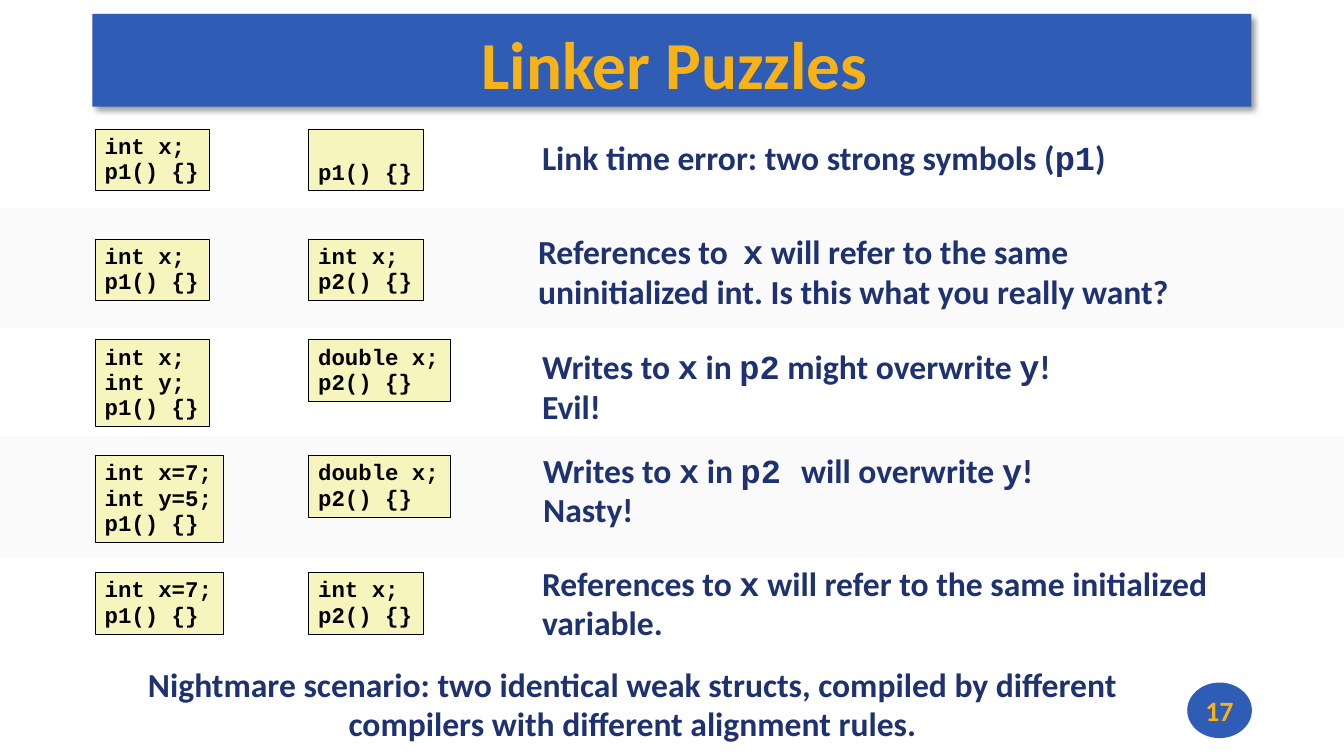
"""Build the Linker Puzzles slide: pairs of code modules with the outcome of linking them."""
from lxml.etree import SubElement
from pptx import Presentation
from pptx.dml.color import RGBColor
from pptx.enum.shapes import MSO_SHAPE as Preset
from pptx.enum.text import MSO_ANCHOR as Anchor, MSO_AUTO_SIZE as AutoSize, PP_ALIGN as Align
from pptx.oxml.ns import qn
from pptx.util import Cm, Pt

COLORS = {"blue": "2F5CB5", "gold": "F7B217", "band": "FAFAFA",
          "code": "F6F5BD", "black": "000000", "navy": "1E3272"}
SANS, MONO = "Calibri", "Courier New"

TITLE = "Linker Puzzles"
PAGE = "17"
WARNING = ("Nightmare scenario: two identical weak structs, compiled by different "
           "compilers with different alignment rules.")
PUZZLES = [
    {"top": 3.25, "modules": (["int x;", "p1() {}"], ["p1() {}"]),
     "outcome": ["Link time error: two strong symbols (`p1`)"],
     "outcome_at": (13.41, 3.38, 14.83)},
    {"top": 6.02, "modules": (["int x;", "p1() {}"], ["int x;", "p2() {}"]),
     "outcome": ["References to  `x` will refer to the same",
                 "uninitialized int. Is this what you really want?"],
     "outcome_at": (13.31, 5.74, 16.56)},
    {"top": 8.56, "modules": (["int x;", "int y;", "p1() {}"], ["double x;", "p2() {}"]),
     "outcome": ["Writes to `x` in `p2` might overwrite `y`!", "Evil!"],
     "outcome_at": (13.41, 8.64, 13.44)},
    {"top": 11.48, "modules": (["int x=7;", "int y=5;", "p1() {}"], ["double x;", "p2() {}"]),
     "outcome": ["Writes to `x` in `p2 `will overwrite `y`!", "Nasty!"],
     "outcome_at": (13.44, 11.25, 12.95)},
    {"top": 14.43, "modules": (["int x=7;", "p1() {}"], ["int x;", "p2() {}"]),
     "outcome": ["References to `x` will refer to the same initialized", "variable."],
     "outcome_at": (13.41, 14.1, 17.45)},
]
MODULE_LEFTS = (2.39, 7.77)
BANDS = ((5.23, 3.05), (11, 3.07))
SLIDE_WIDTH, SLIDE_HEIGHT = 33.87, 19.05


def color(name):
    return RGBColor.from_string(COLORS[name])


def add_block(slide, preset, box, fill, outline=None):
    block = slide.shapes.add_shape(preset, *map(Cm, box))
    block.shadow.inherit = False
    block.fill.solid()
    block.fill.fore_color.rgb = color(fill)
    if outline:
        block.line.color.rgb = color(outline)
        block.line.width = Pt(0.25)
    else:
        block.line.fill.background()
    return block


def write(frame, lines, size, ink, fonts=(SANS, MONO), align=Align.LEFT, spacing=1.0,
          anchor=Anchor.TOP, wrap=False, insets=(0.25, 0.13, 0.25, 0.13)):
    frame.word_wrap = wrap
    frame.vertical_anchor = anchor
    frame.margin_left, frame.margin_top, frame.margin_right, frame.margin_bottom = map(Cm, insets)
    for number, line in enumerate(lines):
        paragraph = frame.paragraphs[0] if number == 0 else frame.add_paragraph()
        paragraph.alignment = align
        paragraph.line_spacing = spacing
        for position, piece in enumerate(line.split("`")):
            if piece:
                run = paragraph.add_run()
                run.text = piece
                run.font.name = fonts[position % 2]
                run.font.size = Pt(size)
                run.font.bold = True
                run.font.color.rgb = color(ink)


def add_soft_shadow(block):
    effects = block.element.spPr.find(qn("a:effectLst"))
    shadow = SubElement(effects, qn("a:outerShdw"), blurRad=str(Pt(4)), dist=str(Pt(3)),
                        dir=str(45 * 60000), algn="tl", rotWithShape="0")
    shade = SubElement(shadow, qn("a:srgbClr"), val=COLORS["black"])
    SubElement(shade, qn("a:alpha"), val="40000")


def add_module(slide, left, top, code, rows):
    width = 0.51 + 0.34 * max(map(len, code))
    height = 0.27 + 0.64 * rows
    module = add_block(slide, Preset.RECTANGLE, (left, top, width, height), "code", "black")
    write(module.text_frame, code, 16, "black", fonts=(MONO, MONO), spacing=0.94,
          anchor=Anchor.BOTTOM if len(code) < rows else Anchor.TOP)


def add_note(slide, box, lines, **layout):
    frame = slide.shapes.add_textbox(*map(Cm, box)).text_frame
    write(frame, lines, 24, "navy", spacing=0.98, **layout)
    frame.auto_size = AutoSize.SHAPE_TO_FIT_TEXT


def main():
    deck = Presentation()
    deck.slide_width, deck.slide_height = Cm(SLIDE_WIDTH), Cm(SLIDE_HEIGHT)
    slide = deck.slides.add_slide(deck.slide_layouts[6])

    banner = add_block(slide, Preset.RECTANGLE, (2.33, 0.35, 29.21, 2.34), "blue")
    add_soft_shadow(banner)
    page_badge = add_block(slide, Preset.OVAL, (29.92, 17.2, 1.63, 1.4), "blue")
    write(page_badge.text_frame, [PAGE], 20, "gold", align=Align.CENTER,
          anchor=Anchor.MIDDLE, insets=(0, 0, 0, 0))
    for top, height in BANDS:
        add_block(slide, Preset.RECTANGLE, (0, top, SLIDE_WIDTH, height), "band")

    title = slide.shapes.add_textbox(Cm(2.31), Cm(0.48), Cm(29.18), Cm(2.18))
    write(title.text_frame, [TITLE], 48, "gold", align=Align.CENTER,
          anchor=Anchor.MIDDLE, wrap=True, insets=(0.2, 0.08, 0, 0.08))

    for puzzle in PUZZLES:
        for left, code in zip(MODULE_LEFTS, puzzle["modules"]):
            add_module(slide, left, puzzle["top"], code, max(2, len(code)))
        height = 0.25 + 1.02 * len(puzzle["outcome"])
        add_note(slide, (*puzzle["outcome_at"], height), puzzle["outcome"])

    add_note(slide, (1.83, 16.64, 28.22, 2.29), [WARNING], align=Align.CENTER, wrap=True)
    deck.save("out.pptx")


if __name__ == "__main__":
    main()
